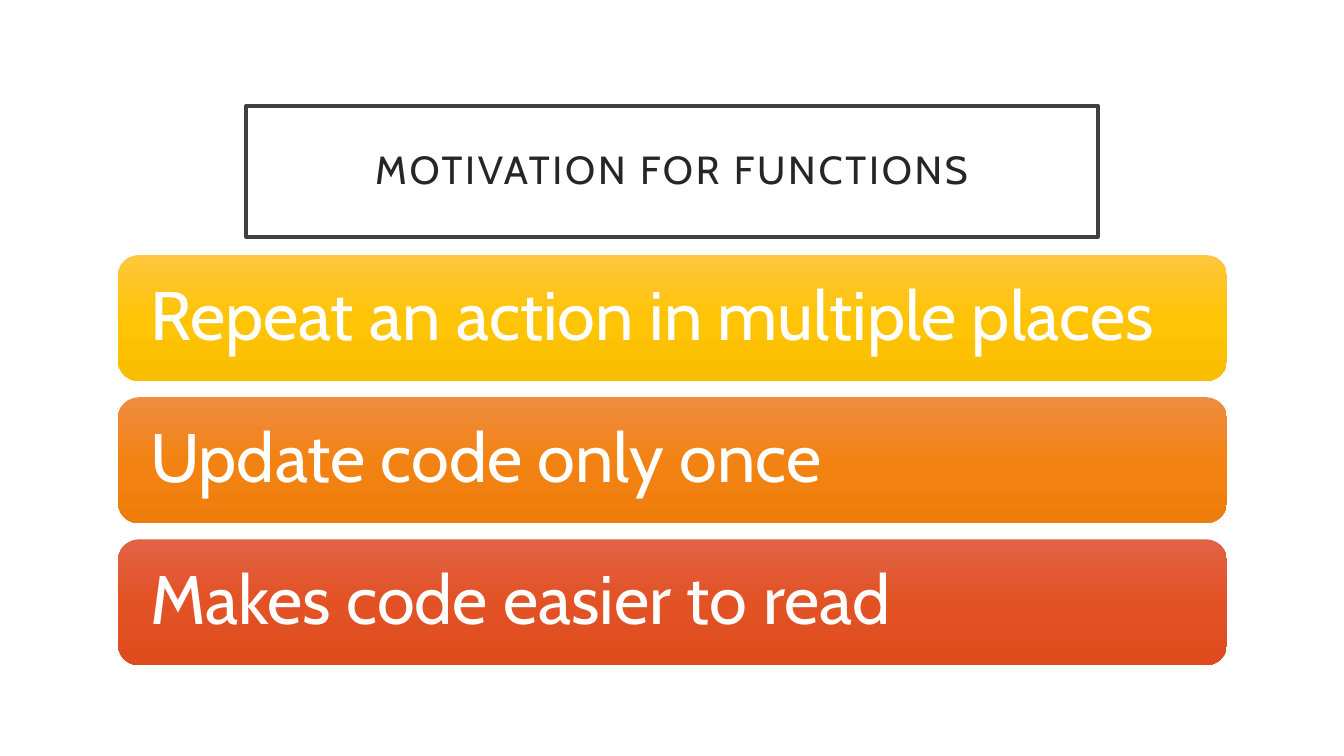
"""Build the slide on the motivation for functions."""
from copy import deepcopy
from dataclasses import dataclass

from pptx import Presentation
from pptx.dml.color import RGBColor
from pptx.enum.shapes import MSO_SHAPE
from pptx.enum.text import MSO_ANCHOR, MSO_AUTO_SIZE, PP_ALIGN
from pptx.oxml.ns import qn
from pptx.util import Inches, Pt

ROUNDED = MSO_SHAPE.ROUNDED_RECTANGLE
MIDDLE = MSO_ANCHOR.MIDDLE
NO_AUTOFIT = MSO_AUTO_SIZE.NONE
LEFT, CENTER = PP_ALIGN.LEFT, PP_ALIGN.CENTER
TITLE_ONLY = 5


@dataclass(frozen=True)
class Theme:
    font: str = "Cabin"
    title_size: float = 28
    bar_size: float = 49
    title_text: str = "262626"
    title_line: str = "404040"
    white: str = "FFFFFF"


@dataclass(frozen=True)
class Bar:
    text: str
    gradient: tuple[str, str, str]


THEME = Theme()
BARS = (
    Bar("Repeat an action in multiple places", ("FEC73E", "FFC405", "F9BE00")),
    Bar("Update code only once", ("EF8C40", "F28313", "EF7D0B")),
    Bar("Makes code easier to read", ("E16346", "E25224", "DF4B1D")),
)
BAR_LEFT, BAR_TOP, BAR_WIDTH, BAR_HEIGHT = 1.17, 2.53, 11, 1.25
BAR_PITCH = 1.41


def set_text(sp, text: str, size: float, color: str, align, side_inset: float):
    """Write one formatted paragraph in a shape and return its run."""
    tf = sp.text_frame
    tf.text = text
    tf.word_wrap = True
    tf.auto_size = NO_AUTOFIT
    tf.vertical_anchor = MIDDLE
    tf.margin_left = tf.margin_right = Inches(side_inset)
    tf.margin_top = tf.margin_bottom = Inches(0.2)
    p = tf.paragraphs[0]
    p.alignment = align
    p.line_spacing = 0.9
    r = p.runs[0]
    r.font.name = THEME.font
    r.font.size = Pt(size)
    r.font.color.rgb = RGBColor.from_string(color)
    return r


def set_gradient(sp, colors: tuple[str, ...]) -> None:
    """Fill a shape from top to bottom with evenly spaced colours."""
    sp.fill.gradient()
    sp.fill.gradient_angle = 270
    stop_list = next(sp._element.spPr.iter(qn("a:gsLst")))
    while len(stop_list) < len(colors):
        stop_list.append(deepcopy(stop_list[0]))
    for i, (stop, color) in enumerate(zip(sp.fill.gradient_stops, colors)):
        stop.position = i / (len(colors) - 1)
        stop.color.rgb = RGBColor.from_string(color)


def add_title(s, text: str) -> None:
    """Place and format the framed title."""
    sp = s.shapes.title
    sp.left, sp.top = Inches(2.44), Inches(1.05)
    sp.width, sp.height = Inches(8.45), Inches(1.3)
    sp.fill.solid()
    sp.fill.fore_color.rgb = RGBColor.from_string(THEME.white)
    sp.line.color.rgb = RGBColor.from_string(THEME.title_line)
    sp.line.width = Pt(2.5)
    r = set_text(sp, text, THEME.title_size, THEME.title_text, CENTER, 0.2)
    r.font._element.set("spc", "200")


def add_bar(s, bar: Bar, top: float) -> None:
    """Draw one rounded gradient bar with its text."""
    sp = s.shapes.add_shape(ROUNDED, Inches(BAR_LEFT), Inches(top),
                            Inches(BAR_WIDTH), Inches(BAR_HEIGHT))
    sp.shadow.inherit = False
    sp.line.fill.background()
    set_gradient(sp, bar.gradient)
    set_text(sp, bar.text, THEME.bar_size, THEME.white, LEFT, 0.26)


def main() -> None:
    """Build and save the presentation."""
    prs = Presentation()
    prs.slide_width, prs.slide_height = Inches(13.33), Inches(7.5)
    s = prs.slides.add_slide(prs.slide_layouts[TITLE_ONLY])
    add_title(s, "MOTIVATION FOR FUNCTIONS")
    for i, bar in enumerate(BARS):
        add_bar(s, bar, BAR_TOP + i * BAR_PITCH)
    prs.save("out.pptx")


main()
